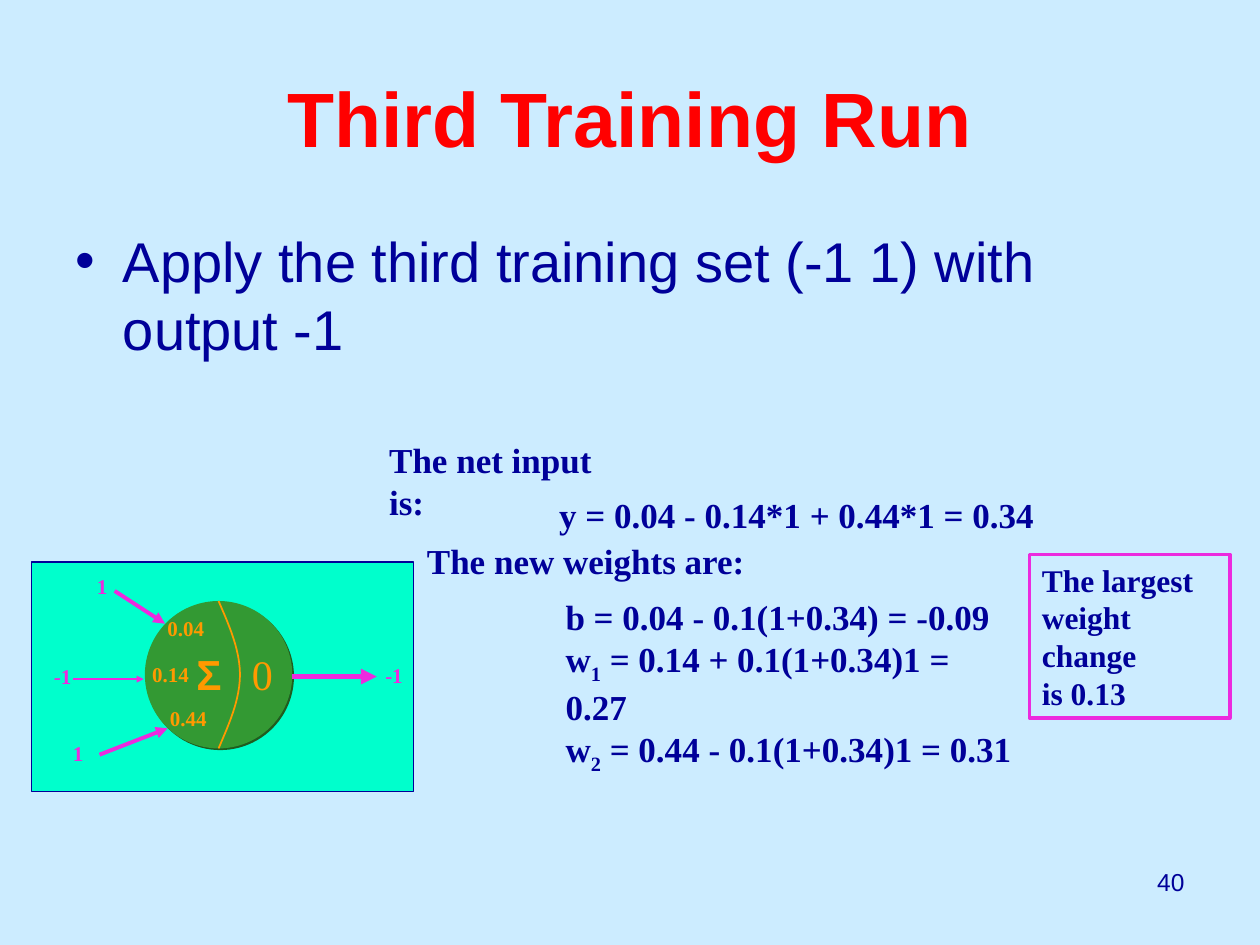
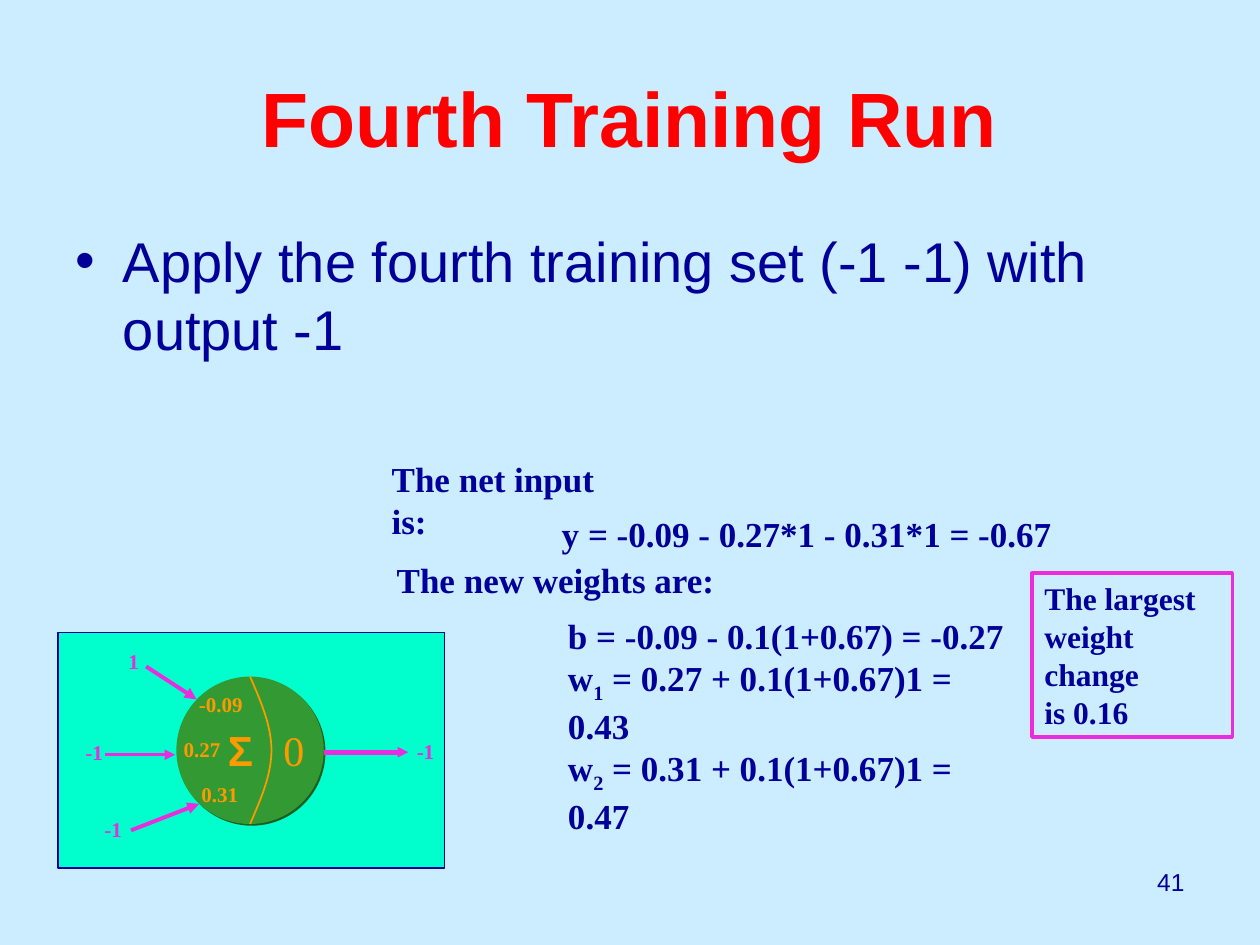
from dataclasses import dataclass

from lxml import etree
from pptx import Presentation
from pptx.dml.color import RGBColor
from pptx.enum.shapes import MSO_CONNECTOR, MSO_SHAPE
from pptx.enum.text import MSO_ANCHOR, MSO_AUTO_SIZE, PP_ALIGN
from pptx.oxml.ns import qn
from pptx.util import Inches, Pt

RECTANGLE, OVAL = MSO_SHAPE.RECTANGLE, MSO_SHAPE.OVAL
STRAIGHT = MSO_CONNECTOR.STRAIGHT
TOP, MIDDLE = MSO_ANCHOR.TOP, MSO_ANCHOR.MIDDLE
LEFT, CENTER, RIGHT = PP_ALIGN.LEFT, PP_ALIGN.CENTER, PP_ALIGN.RIGHT
GROW, FIXED = MSO_AUTO_SIZE.SHAPE_TO_FIT_TEXT, MSO_AUTO_SIZE.NONE

COLUMNS, ROWS = 100, 75
CURVE_STEPS = 24
GLYPH_WIDTHS = {".": 0.25, "-": 0.33}


@dataclass(frozen=True)
class Theme:
    """Colours, fonts and type sizes shared by the slides."""
    background: str = "CCECFF"
    title: str = "FF0000"
    ink: str = "000099"
    panel: str = "00FFCC"
    cell: str = "339933"
    cell_shadow: str = "1F5C1F"
    weight: str = "FF9900"
    signal: str = "EC2ADE"
    sans: str = "Arial"
    serif: str = "Times New Roman"
    title_size: int = 44
    body_size: int = 32
    symbol_size: int = 24
    working_size: int = 20
    note_size: int = 18
    page_size: int = 14
    label_size: int = 12


THEME = Theme()


@dataclass(frozen=True)
class Box:
    """A rectangle in grid columns and rows."""
    left: float
    top: float
    width: float
    height: float

    def inner(self, left, top, width, height):
        """Return a box placed from this box's corner."""
        return Box(self.left + left, self.top + top, width, height)

    def point(self, column, row):
        """Return a point, in EMU, counted from this box's corner."""
        return grid(self.left + column), grid(self.top + row)

    def emu(self):
        """Return left, top, width and height in EMU."""
        return [grid(n) for n in (self.left, self.top, self.width, self.height)]


@dataclass(frozen=True)
class TrainingRun:
    """The content and places of one training run slide."""
    title: str
    task: str
    page: str
    panel: Box
    cell: Box
    inputs: tuple
    weights: tuple
    head_sizes: tuple
    working: Box
    net_input: str
    net_columns: float
    heading_indent: float
    bias: str
    updates: tuple
    change: str


RUNS = (
    TrainingRun(
        title="Third Training Run",
        task="Apply the third training set (-1 1) with output -1",
        page="40",
        panel=Box(2.5, 44.6, 30.3, 18.2),
        cell=Box(11.5, 47.7, 11.7, 11.7),
        inputs=("1", "-1", "1"),
        weights=("0.04", "0.14", "0.44"),
        head_sizes=("sm", "med"),
        working=Box(29.9, 34.3, 67.7, 24.4),
        net_input="y = 0.04 - 0.14*1 + 0.44*1 = 0.34",
        net_columns=39.7,
        heading_indent=3,
        bias="b = 0.04 - 0.1(1+0.34) = -0.09",
        updates=(" = 0.14 + 0.1(1+0.34)1 = 0.27", " = 0.44 - 0.1(1+0.34)1 = 0.31"),
        change="is 0.13",
    ),
    TrainingRun(
        title="Fourth Training Run",
        task="Apply the fourth training set (-1 -1) with output -1",
        page="41",
        panel=Box(4.6, 50.2, 30.7, 18.7),
        cell=Box(14, 53.7, 11.7, 11.7),
        inputs=("1", "-1", "-1"),
        weights=("-0.09", "0.27", "0.31"),
        head_sizes=("med", "sm"),
        working=Box(30.1, 35.8, 67.7, 24.4),
        net_input="y = -0.09 - 0.27*1 - 0.31*1 = -0.67",
        net_columns=40.9,
        heading_indent=0.4,
        bias="b = -0.09 - 0.1(1+0.67) = -0.27",
        updates=(" = 0.27 + 0.1(1+0.67)1 = 0.43", " = 0.31 + 0.1(1+0.67)1 = 0.47"),
        change="is 0.16",
    ),
)


def grid(units):
    """Convert grid units to EMU."""
    return Inches(units / 10)


def rgb(colour):
    """Turn a hex string into a colour."""
    return RGBColor.from_string(colour)


def style(frame, size, colour, font=THEME.serif, bold=True, align=LEFT):
    """Format every run of a text frame."""
    for paragraph in frame.paragraphs:
        paragraph.alignment = align
        for run in paragraph.runs:
            run.font.size = Pt(size)
            run.font.name = font
            run.font.bold = bold
            run.font.color.rgb = rgb(colour)


def add_text(shapes, box, text, size, colour, **look):
    """Add an unwrapped text box that grows with its text."""
    frame = shapes.add_textbox(*box.emu()).text_frame
    frame.word_wrap = False
    frame.auto_size = GROW
    frame.text = text
    style(frame, size, colour, **look)
    return frame


def add_block(shapes, kind, box, fill, line=None, weight=0.75):
    """Add a filled shape with an optional outline and no shadow."""
    block = shapes.add_shape(kind, *box.emu())
    block.fill.solid()
    block.fill.fore_color.rgb = rgb(fill)
    if line:
        block.line.color.rgb = rgb(line)
        block.line.width = Pt(weight)
    else:
        block.line.fill.background()
    block.shadow.inherit = False
    return block


def add_label(shapes, cell, column, row, text, colour):
    """Add a small number whose box is as wide as its glyphs."""
    ems = sum(GLYPH_WIDTHS.get(glyph, 0.5) for glyph in text)
    width = 2 + round(ems * THEME.label_size / 7.2, 1)
    add_text(shapes, cell.inner(column, row, width, 3), text, THEME.label_size, colour)


def add_arrow(shapes, start, end, weight, head_size="med"):
    """Add a signal arrow between two points."""
    arrow = shapes.add_connector(STRAIGHT, *start, *end)
    arrow.line.color.rgb = rgb(THEME.signal)
    arrow.line.width = Pt(weight)
    etree.SubElement(arrow.line._get_or_add_ln(), qn("a:tailEnd"),
                     type="triangle", w=head_size, len=head_size)
    etree.SubElement(arrow._element.spPr, qn("a:effectLst"))


def add_cell_body(shapes, cell):
    """Draw the neuron's disc with its shadow and curved divider."""
    disc = add_block(shapes, OVAL, cell, THEME.cell)
    effects = disc._element.spPr.find(qn("a:effectLst"))
    shadow = etree.SubElement(effects, qn("a:outerShdw"), blurRad="0",
                              dist=str(Pt(1.4)), dir="2700000", algn="ctr", rotWithShape="0")
    etree.SubElement(shadow, qn("a:srgbClr"), val=THEME.cell_shadow)

    middle, bulge = cell.width / 2, 1.7
    points = []
    for step in range(CURVE_STEPS + 1):
        share = step / CURVE_STEPS
        depth = 1 - abs(2 * share - 1)
        points.append(cell.point(middle + bulge * (1.5 * depth - 0.5 * depth ** 3),
                                 cell.height * share))
    builder = shapes.build_freeform(*points[0])
    builder.add_line_segments(points[1:], close=False)
    divider = builder.convert_to_shape()
    divider.fill.background()
    divider.line.color.rgb = rgb(THEME.weight)
    divider.line.width = Pt(1)
    divider.shadow.inherit = False


def add_neuron(slide, run):
    """Draw the panel with the neuron, its weights, inputs and output."""
    shapes = slide.shapes.add_group_shape().shapes
    cell = run.cell
    add_block(shapes, RECTANGLE, run.panel, THEME.panel, THEME.ink)
    add_cell_body(shapes, cell)
    add_text(shapes, cell.inner(7.5, 3.3, 3.6, 5), "0", THEME.symbol_size,
             THEME.weight, bold=False)
    add_text(shapes, cell.inner(3.1, 3.3, 3.9, 5), "Σ", THEME.symbol_size,
             THEME.weight, font=THEME.sans)

    for place, weight in zip(((0.8, 0.7), (-0.4, 4.3), (1, 7.8)), run.weights):
        add_label(shapes, cell, *place, weight, THEME.weight)
    signals = (*run.inputs, "-1")
    for place, signal in zip(((-4.8, -2.7), (-8.2, 4.5), (-6.7, 10.6), (18.1, 4.4)), signals):
        add_label(shapes, cell, *place, signal, THEME.signal)

    input_head, output_head = run.head_sizes
    arrows = (
        ((-2.4, -0.8), (1.6, 1.8), 2.25, "med"),
        ((-5.7, 6.2), (-0.1, 6.2), 1.5, input_head),
        ((-3.6, 12.2), (1.8, 10.1), 2.25, "med"),
        ((cell.width, 6), (18.4, 6), 3, output_head),
    )
    for start, end, weight, head_size in arrows:
        add_arrow(shapes, cell.point(*start), cell.point(*end), weight, head_size)


def add_working(slide, run):
    """Write the net input, the new weights and the largest change."""
    shapes, box = slide.shapes, run.working
    lines = (
        (box.inner(0, 0, 21.5, 4.4), "The net input is:"),
        (box.inner(13.5, 4.4, run.net_columns, 4.4), run.net_input),
        (box.inner(run.heading_indent, 8, 27.3, 4.4), "The new weights are:"),
    )
    for place, text in lines:
        add_text(shapes, place, text, THEME.working_size, THEME.ink)

    updates = add_text(shapes, box.inner(14, 12.5, 38, 11.9), run.bias,
                       THEME.working_size, THEME.ink)
    for index, result in enumerate(run.updates, 1):
        paragraph = updates.add_paragraph()
        for part in ("w", str(index), result):
            paragraph.add_run().text = part
        paragraph.runs[1]._r.get_or_add_rPr().set("baseline", "-25000")
    style(updates, THEME.working_size, THEME.ink)

    note = add_block(shapes, RECTANGLE, box.inner(51.8, 9.7, 15.9, 13),
                     THEME.background, THEME.signal, 2).text_frame
    note.word_wrap = True
    note.auto_size = GROW
    note.vertical_anchor = TOP
    note.text = "The largest weight change\n" + run.change
    style(note, THEME.note_size, THEME.ink)


def fill_placeholder(placeholder, box, text, anchor, **look):
    """Place a template placeholder and set its text."""
    placeholder.left, placeholder.top, placeholder.width, placeholder.height = box.emu()
    frame = placeholder.text_frame
    frame.text = text
    frame.auto_size = FIXED
    frame.vertical_anchor = anchor
    style(frame, font=THEME.sans, **look)
    return frame


def add_run_slide(deck, run):
    """Build one training run slide."""
    slide = deck.slides.add_slide(deck.slide_layouts[1])
    fill_placeholder(slide.shapes.title, Box(5, 3, 90, 12.5), run.title, MIDDLE,
                     size=THEME.title_size, colour=THEME.title, align=CENTER)
    task = fill_placeholder(slide.placeholders[1], Box(5, 17.5, 90, 14.7), run.task, TOP,
                            size=THEME.body_size, colour=THEME.ink, bold=False).paragraphs[0]
    task.space_before = Pt(8)
    hanging = grid(3.75)
    properties = task._p.get_or_add_pPr()
    properties.set("marL", str(hanging))
    properties.set("indent", str(-hanging))
    add_neuron(slide, run)
    add_working(slide, run)
    page = add_text(slide.shapes, Box(71.7, 68.3, 23.3, 5.2), run.page, THEME.page_size,
                    THEME.ink, font=THEME.sans, bold=False, align=RIGHT)
    page.auto_size = FIXED
    page.word_wrap = True


def main():
    """Build and save the deck."""
    deck = Presentation()
    deck.slide_width, deck.slide_height = grid(COLUMNS), grid(ROWS)
    background = deck.slide_master.background.fill
    background.solid()
    background.fore_color.rgb = rgb(THEME.background)
    for run in RUNS:
        add_run_slide(deck, run)
    deck.save("out.pptx")


if __name__ == "__main__":
    main()
